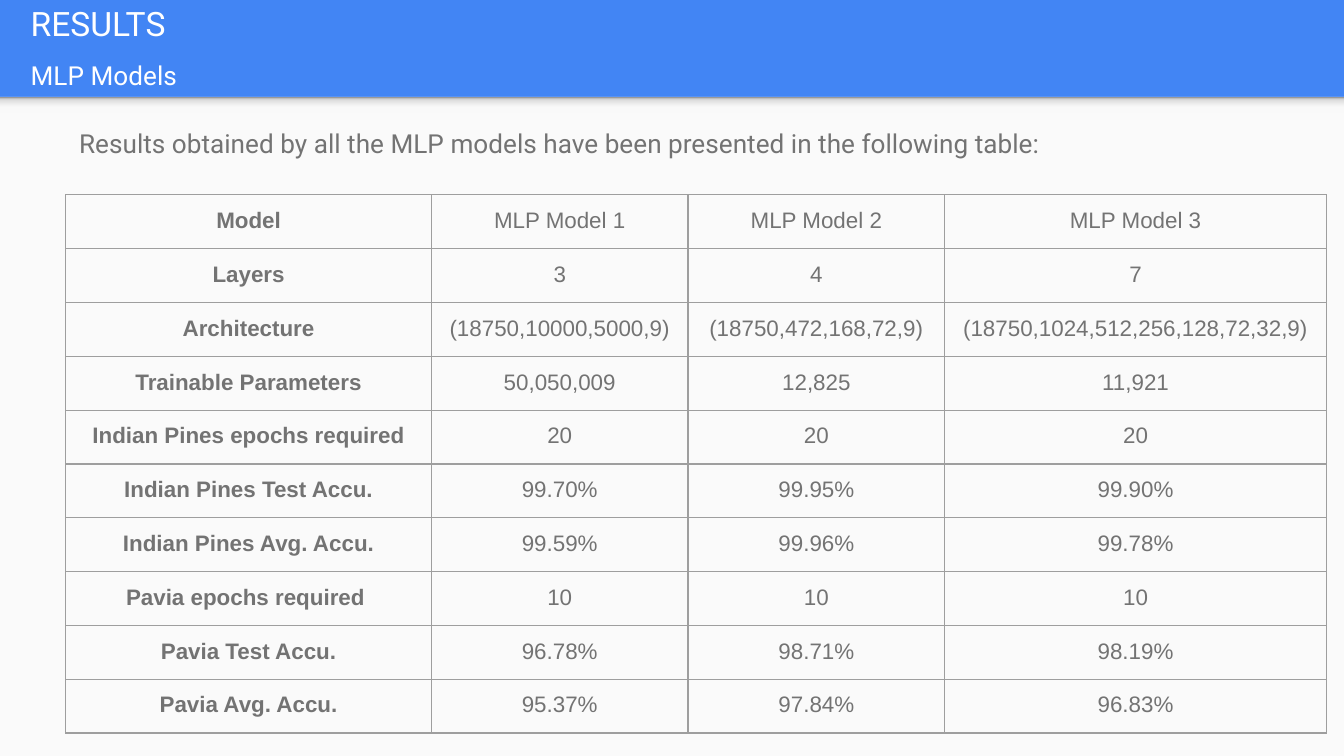
from copy import deepcopy

from lxml import etree
from pptx import Presentation
from pptx.dml.color import RGBColor
from pptx.enum.shapes import MSO_SHAPE as Shape
from pptx.enum.text import MSO_ANCHOR as Anchor, PP_ALIGN as Align
from pptx.oxml import parse_xml
from pptx.oxml.ns import nsdecls, qn
from pptx.util import Inches, Pt

BLUE = RGBColor(0x42, 0x85, 0xF4)
PAPER = RGBColor(0xFA, 0xFA, 0xFA)
WHITE = RGBColor(0xFF, 0xFF, 0xFF)
GRAY = RGBColor(0x73, 0x73, 0x73)
BORDER = RGBColor(0x9E, 0x9E, 0x9E)
SHADE_STOPS = [
    (0, RGBColor(0xF9, 0xF9, 0xF9)),
    (0.36, RGBColor(0xF9, 0xF9, 0xF9)),
    (0.8, RGBColor(0xDE, 0xDE, 0xDE)),
    (1, RGBColor(0x99, 0x99, 0x99)),
]

WIDTH = 10
HEIGHT = WIDTH * 9 / 16
HEADER_HEIGHT = 0.72
INSET = Inches(0.1)
COLUMN_WIDTHS = [2.72, 1.91, 1.91, 2.84]
ROW_HEIGHT = 0.39
RESULTS = [
    ("Model", "MLP Model 1", "MLP Model 2", "MLP Model 3"),
    ("Layers", "3", "4", "7"),
    ("Architecture", "(18750,10000,5000,9)", "(18750,472,168,72,9)",
     "(18750,1024,512,256,128,72,32,9)"),
    ("Trainable Parameters", "50,050,009", "12,825", "11,921"),
    ("Indian Pines epochs required", "20", "20", "20"),
    ("Indian Pines Test Accu.", "99.70%", "99.95%", "99.90%"),
    ("Indian Pines Avg. Accu.", "99.59%", "99.96%", "99.78%"),
    ("Pavia epochs required ", "10", "10", "10"),
    ("Pavia Test Accu.", "96.78%", "98.71%", "98.19%"),
    ("Pavia Avg. Accu.", "95.37%", "97.84%", "96.83%"),
]


def set_insets(target):
    target.margin_left = target.margin_right = INSET
    target.margin_top = target.margin_bottom = INSET


def style_font(paragraph, name, size, color, bold=False):
    font = paragraph.font
    font.name, font.size, font.bold = name, Pt(size), bold
    font.color.rgb = color


def add_text(slide, box, text, size, color, anchor=Anchor.TOP):
    frame = slide.shapes.add_textbox(*map(Inches, box)).text_frame
    frame.word_wrap = True
    frame.vertical_anchor = anchor
    set_insets(frame)
    frame.text = text
    style_font(frame.paragraphs[0], "Roboto", size, color)


def add_plain_rectangle(slide, box):
    rectangle = slide.shapes.add_shape(Shape.RECTANGLE, *map(Inches, box))
    rectangle.shadow.inherit = False
    rectangle.line.fill.background()
    return rectangle


def add_backdrop(slide, left, top, width, height):
    """Pale content area with a soft shade along its top edge."""
    panel = add_plain_rectangle(slide, (left, top, width, height))
    panel.fill.solid()
    panel.fill.fore_color.rgb = PAPER

    shade = add_plain_rectangle(slide, (left, top, width, 0.12))
    shade.fill.gradient()
    shade.fill.gradient_angle = 90
    stop_list = next(shade._element.iter(qn("a:gsLst")))
    while len(stop_list) < len(SHADE_STOPS):
        stop_list.append(deepcopy(stop_list[0]))
    for stop, (position, color) in zip(shade.fill.gradient_stops, SHADE_STOPS):
        stop.position = position
        stop.color.rgb = color


def add_header(slide, left, top, width):
    add_text(slide, (left, top, width, 0.34), "RESULTS", 18, WHITE, Anchor.MIDDLE)
    add_text(slide, (left, top + 0.34, 3.8, 0.4), "MLP Models", 14, WHITE)


def add_cell_borders(cell):
    properties = cell._tc.get_or_add_tcPr()
    for index, side in enumerate(("lnL", "lnR", "lnT", "lnB")):
        line = parse_xml(f'<a:{side} {nsdecls("a")} w="{Pt(0.75)}"/>')
        fill = etree.SubElement(line, qn("a:solidFill"))
        etree.SubElement(fill, qn("a:srgbClr"), val=str(BORDER))
        properties.insert(index, line)


def add_results_table(slide, left, top, frame_size):
    """Rows and columns set the drawn size; the frame itself is a smaller square."""
    box = map(Inches, (left, top, frame_size, frame_size))
    frame = slide.shapes.add_table(len(RESULTS), len(COLUMN_WIDTHS), *box)
    table = frame.table
    table.first_row = table.horz_banding = False
    for column, width in zip(table.columns, COLUMN_WIDTHS):
        column.width = Inches(width)
    for row, values in zip(table.rows, RESULTS):
        row.height = Inches(ROW_HEIGHT)
        for index, (cell, value) in enumerate(zip(row.cells, values)):
            cell.text = value
            cell.fill.background()
            set_insets(cell)
            add_cell_borders(cell)
            paragraph = cell.text_frame.paragraphs[0]
            paragraph.alignment = Align.CENTER
            style_font(paragraph, "Arial", 12, GRAY, bold=index == 0)
    frame.width = frame.height = Inches(frame_size)


def main():
    presentation = Presentation()
    presentation.slide_width = Inches(WIDTH)
    presentation.slide_height = Inches(HEIGHT)
    slide = presentation.slides.add_slide(presentation.slide_layouts[6])
    slide.background.fill.solid()
    slide.background.fill.fore_color.rgb = BLUE

    add_backdrop(slide, 0, HEADER_HEIGHT, WIDTH, HEIGHT - HEADER_HEIGHT)
    add_header(slide, 0.13, 0, 9.65)
    add_results_table(slide, 0.49, 1.45, 3.28)
    add_text(slide, (0.49, 0.85, 9.39, 0.49),
             "Results obtained by all the MLP models have been presented "
             "in the following table:", 14, GRAY)
    presentation.save("out.pptx")


if __name__ == "__main__":
    main()
